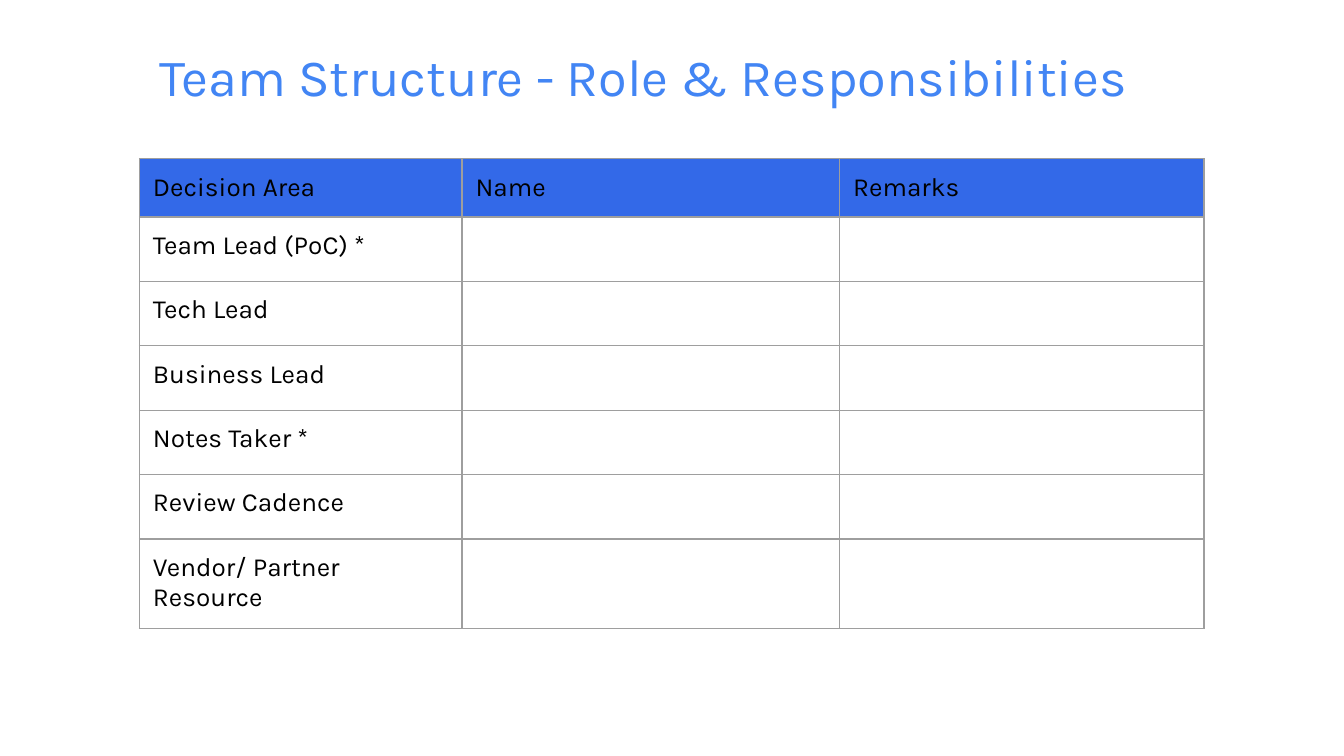
from lxml.etree import SubElement
from pptx import Presentation
from pptx.dml.color import RGBColor
from pptx.enum.text import MSO_ANCHOR
from pptx.oxml.ns import qn
from pptx.util import Pt

FONT = "Karla"
COLORS = {"title": "4285F4", "header": "3369E8", "text": "000000", "border": "9E9E9E"}
HEADINGS = ["Decision Area", "Name", "Remarks"]
ROLES = [
    "Team Lead (PoC) *",
    "Tech Lead",
    "Business Lead",
    "Notes Taker *",
    "Review Cadence",
    "Vendor/ Partner Resource",
]
COLUMN_SHARES = [2.4, 2.81, 2.71]
ROW_HEIGHTS = [30.5] + [34.5] * 5 + [47]


def style_text(p, size, color):
    for r in p.runs:
        r.font.name = FONT
        r.font.size = Pt(size)
        r.font.color.rgb = RGBColor.from_string(COLORS[color])


def add_borders(cell, color, width):
    tc_pr = cell._tc.get_or_add_tcPr()
    for side in ("lnL", "lnR", "lnT", "lnB"):
        ln = SubElement(tc_pr, qn(f"a:{side}"), w=str(Pt(width)))
        fill = SubElement(ln, qn("a:solidFill"))
        SubElement(fill, qn("a:srgbClr"), val=COLORS[color])


def add_title(s, left, top, width, height):
    tf = s.shapes.add_textbox(Pt(left), Pt(top), Pt(width), Pt(height)).text_frame
    tf.word_wrap = True
    tf.vertical_anchor = MSO_ANCHOR.BOTTOM
    tf.margin_left = tf.margin_right = Pt(5.4)
    tf.margin_top = tf.margin_bottom = Pt(2.7)
    p = tf.paragraphs[0]
    p.text = "Team Structure - Role & Responsibilities"
    p.line_spacing = 0.9
    style_text(p, 28, "title")


def fill_cell(cell, text, is_header):
    add_borders(cell, "border", 0.75)
    if is_header:
        cell.fill.solid()
        cell.fill.fore_color.rgb = RGBColor.from_string(COLORS["header"])
    else:
        cell.fill.background()
    if text:
        cell.margin_left = cell.margin_right = Pt(7.2)
        cell.margin_top = cell.margin_bottom = Pt(7.2)
        cell.text_frame.text = text
        style_text(cell.text_frame.paragraphs[0], 14, "text")


def add_role_table(s, left, top, width):
    rows = [HEADINGS] + [[role, "", ""] for role in ROLES]
    table = s.shapes.add_table(
        len(rows), len(HEADINGS), Pt(left), Pt(top), Pt(width), Pt(sum(ROW_HEIGHTS))
    ).table
    table.first_row = False
    table.horz_banding = False
    for column, share in zip(table.columns, COLUMN_SHARES):
        column.width = Pt(width * share / sum(COLUMN_SHARES))
    for i, (row, height) in enumerate(zip(table.rows, ROW_HEIGHTS)):
        row.height = Pt(height)
        for cell, text in zip(row.cells, rows[i]):
            fill_cell(cell, text, i == 0)


def main():
    prs = Presentation()
    prs.slide_width, prs.slide_height = Pt(720), Pt(405)
    s = prs.slides.add_slide(prs.slide_layouts[6])
    add_title(s, 80, 23, 531.5, 37.5)
    add_role_table(s, 74.75, 85, 570.25)
    prs.save("out.pptx")


if __name__ == "__main__":
    main()
